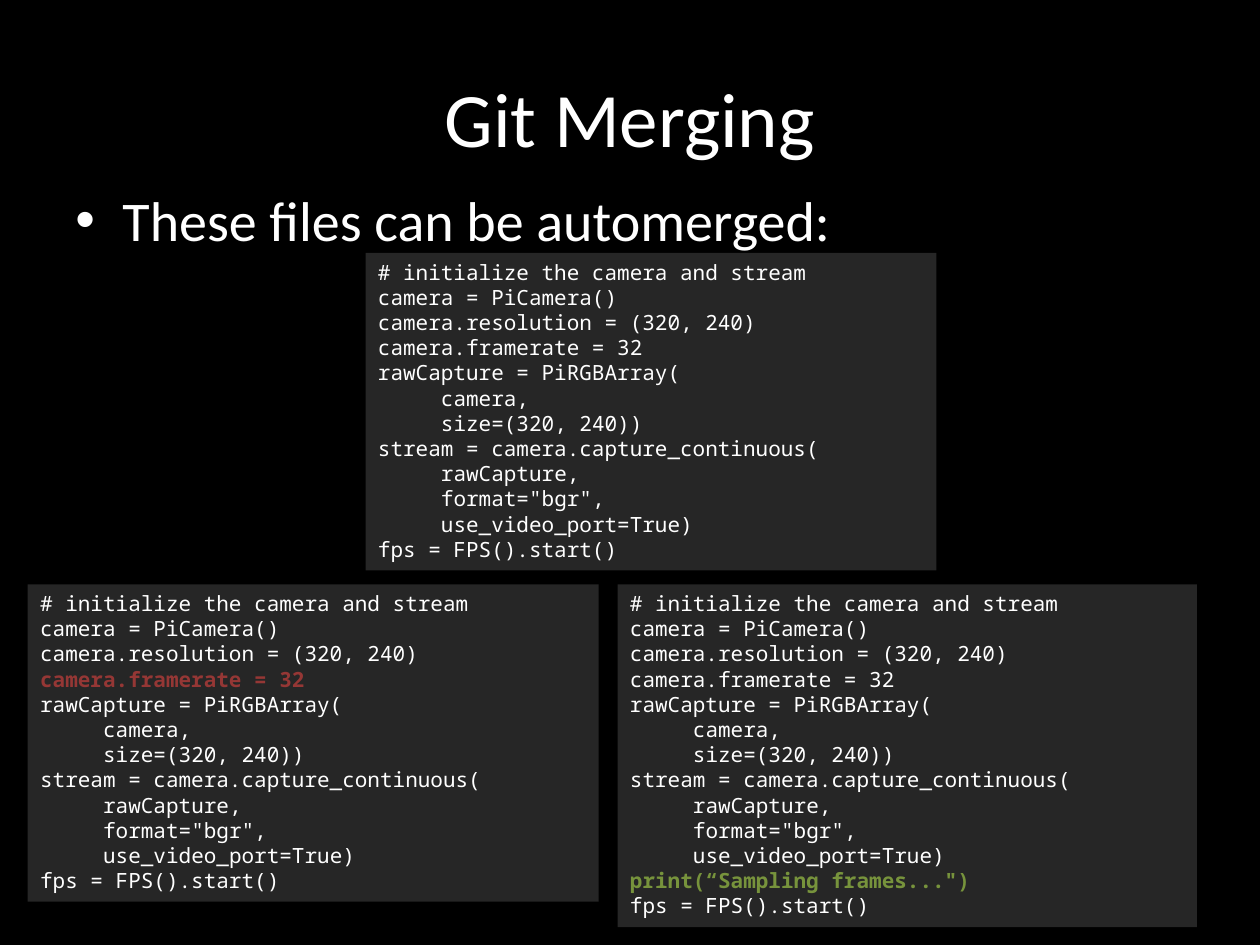
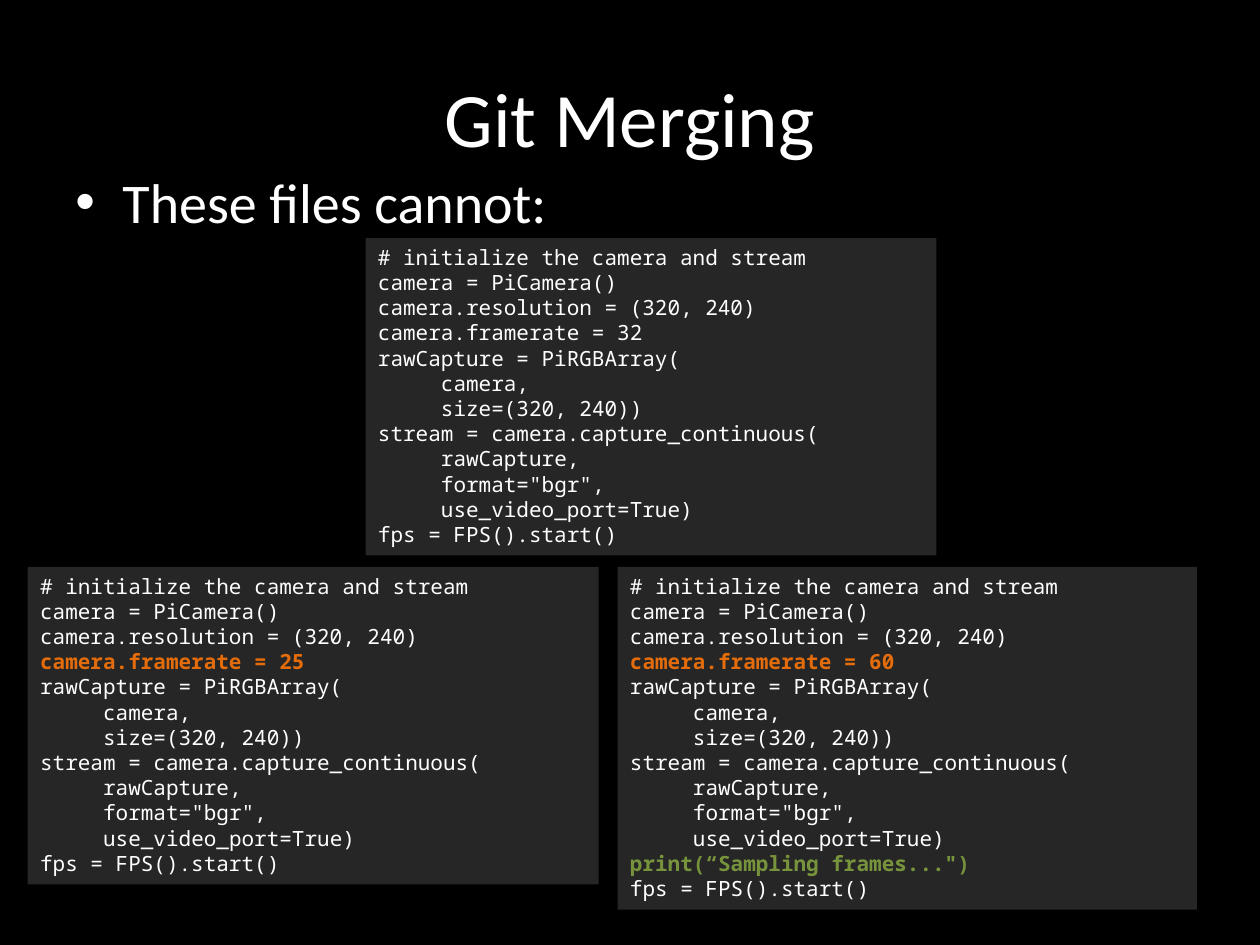
from lxml.etree import SubElement
from pptx import Presentation
from pptx.dml.color import RGBColor
from pptx.enum.shapes import MSO_SHAPE as Preset
from pptx.enum.text import MSO_ANCHOR as Anchor, MSO_AUTO_SIZE as AutoSize, PP_ALIGN as Align
from pptx.oxml.ns import qn
from pptx.util import Cm, Pt

BLACK = RGBColor(0x00, 0x00, 0x00)
WHITE = RGBColor(0xFF, 0xFF, 0xFF)
PANEL = RGBColor(0x26, 0x26, 0x26)
RED = RGBColor(0x95, 0x37, 0x35)
GREEN = RGBColor(0x77, 0x93, 0x3C)
ORANGE = RGBColor(0xE4, 0x6C, 0x0A)

TITLE_ONLY = 5
LINE_HEIGHT, PANEL_PADDING = 0.51, 0.28  # centimetres

# Code shared by all panels; the frame rate and the print line vary
FRAME_RATE = "camera.framerate = "
SETUP = ["# initialize the camera and stream", "camera = PiCamera()",
         "camera.resolution = (320, 240)"]
CAPTURE = ["rawCapture = PiRGBArray(", "\tcamera, ", "\tsize=(320, 240))",
           "stream = camera.capture_continuous(", "\trawCapture, ",
           '\tformat="bgr",', "\tuse_video_port=True)"]
PRINT = "print(\u201cSampling frames...\")"
START = "fps = FPS().start()"


def camera_code(rate=32, with_print=False):
    extra = [PRINT] if with_print else []
    return SETUP + [f"{FRAME_RATE}{rate}"] + CAPTURE + extra + [START]


class Deck:
    """Holds the style and the current slide."""
    text_font = "Calibri"
    code_font = "Noto Sans Mono"

    def __init__(self):
        self.presentation = Presentation()
        self.presentation.slide_width = Cm(25.4)
        self.presentation.slide_height = Cm(19.05)
        background = self.presentation.slide_master.background.fill
        background.solid()
        background.fore_color.rgb = BLACK
        self.slide = None

    def format(self, paragraph, font_name, size, color=WHITE, bold=False):
        for run in paragraph.runs:
            run.font.name = font_name
            run.font.size = Pt(size)
            run.font.color.rgb = color
            run.font.bold = bold

    def add_slide(self, title):
        layout = self.presentation.slide_layouts[TITLE_ONLY]
        self.slide = self.presentation.slides.add_slide(layout)
        shape = self.slide.shapes.title
        shape.left, shape.top = Cm(1.27), Cm(0.76)
        shape.width, shape.height = Cm(22.86), Cm(3.18)
        shape.text_frame.text = title
        shape.text_frame.vertical_anchor = Anchor.MIDDLE
        paragraph = shape.text_frame.paragraphs[0]
        paragraph.alignment = Align.CENTER
        self.format(paragraph, self.text_font, 44)

    def add_bullet(self, text, top):
        box = self.slide.shapes.add_textbox(Cm(1.27), Cm(top), Cm(22.86), Cm(12.57))
        box.text_frame.word_wrap = True
        box.text_frame.text = text
        paragraph = box.text_frame.paragraphs[0]
        paragraph.space_before = Pt(6.4)
        self.format(paragraph, self.text_font, 32)
        # Hanging indent and bullet character
        properties = paragraph._p.get_or_add_pPr()
        properties.set("marL", str(Cm(0.95)))
        properties.set("indent", str(-Cm(0.95)))
        SubElement(properties, qn("a:buFont")).set("typeface", "Arial")
        SubElement(properties, qn("a:buChar")).set("char", "\u2022")

    def add_code(self, lines, left, top, width=11.51, highlights=None):
        """Draw a code panel; highlights maps the start of a line to a colour."""
        height = LINE_HEIGHT * len(lines) + PANEL_PADDING
        shape = self.slide.shapes.add_shape(
            Preset.RECTANGLE, Cm(left), Cm(top), Cm(width), Cm(height))
        shape.shadow.inherit = False
        shape.fill.solid()
        shape.fill.fore_color.rgb = PANEL
        shape.line.fill.background()
        text_frame = shape.text_frame
        text_frame.word_wrap = True
        text_frame.auto_size = AutoSize.SHAPE_TO_FIT_TEXT
        text_frame.vertical_anchor = Anchor.TOP
        text_frame.text = "\n".join(lines)
        for line, paragraph in zip(lines, text_frame.paragraphs):
            paragraph.alignment = Align.LEFT
            color = next((color for start, color in (highlights or {}).items()
                          if line.startswith(start)), None)
            self.format(paragraph, self.code_font, 12, color or WHITE, color is not None)

    def add_merge(self, bullet, bullet_top, base_top, branch_top,
                  left_rate, right_rate, left_marks, right_marks):
        """One slide: two branch panels below their common base."""
        self.add_slide("Git Merging")
        self.add_bullet(bullet, bullet_top)
        self.add_code(camera_code(left_rate), 0.56, branch_top, highlights=left_marks)
        self.add_code(camera_code(right_rate, with_print=True), 12.45, branch_top,
                      width=11.68, highlights=right_marks)
        self.add_code(camera_code(), 7.37, base_top)


deck = Deck()

# Slide 1: changes on different lines
deck.add_merge("These files can be automerged:", 3.61, 5.1, 11.78, 32, 32,
               {FRAME_RATE: RED}, {PRINT: GREEN})

# Slide 2: both branches change the same line
deck.add_merge("These files cannot:", 3.25, 4.8, 11.43, 25, 60,
               {FRAME_RATE: ORANGE}, {FRAME_RATE: ORANGE, PRINT: GREEN})

deck.presentation.save("out.pptx")
